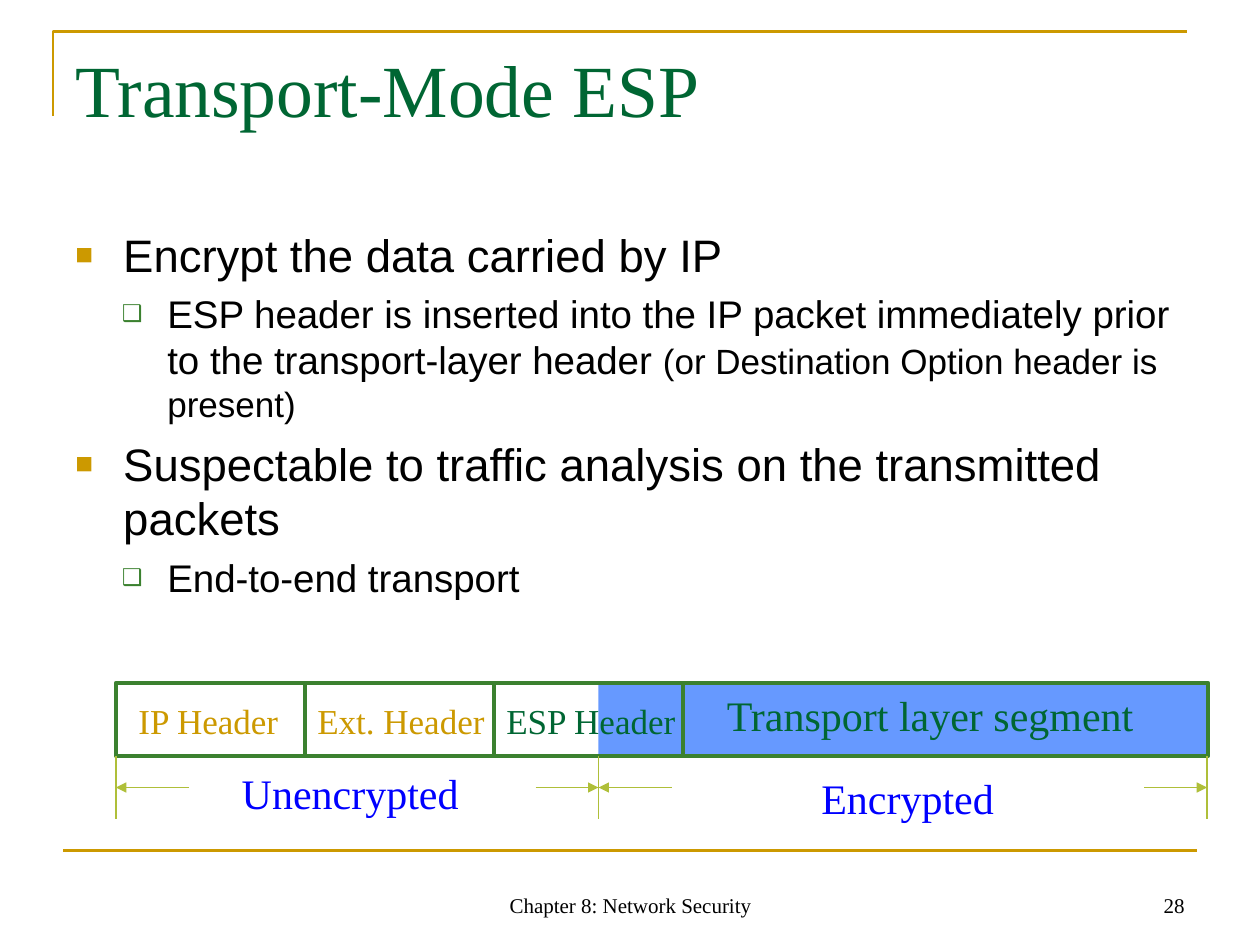
from lxml import etree
from pptx import Presentation
from pptx.dml.color import RGBColor
from pptx.enum.shapes import MSO_CONNECTOR, MSO_SHAPE
from pptx.enum.text import MSO_ANCHOR, PP_ALIGN
from pptx.oxml.ns import qn
from pptx.util import Inches, Pt

STRAIGHT, RECTANGLE = MSO_CONNECTOR.STRAIGHT, MSO_SHAPE.RECTANGLE
TOP, BOTTOM = MSO_ANCHOR.TOP, MSO_ANCHOR.BOTTOM
LEFT, CENTER, RIGHT = PP_ALIGN.LEFT, PP_ALIGN.CENTER, PP_ALIGN.RIGHT

GOLD = RGBColor(0xCC, 0x99, 0x00)
DARK_GREEN = RGBColor(0x00, 0x66, 0x33)
GREEN = RGBColor(0x3B, 0x81, 0x2F)
LIME = RGBColor(0xAF, 0xBF, 0x39)
SKY = RGBColor(0x66, 0x99, 0xFF)
BLUE = RGBColor(0x00, 0x00, 0xFF)
BLACK = RGBColor(0x00, 0x00, 0x00)

# Bullet levels: character, colour, size in percent, margin and hanging indent
BULLETS = [("■", GOLD, 65, 0.38, 0.38), ("❑", GREEN, 60, 0.73, 0.36)]


class SlideBuilder:
    serif = "Times New Roman"
    sans = "Arial"

    def __init__(self, slide):
        self.slide = slide

    def style_font(self, font, name, size, color):
        font.name, font.size = name, Pt(size)
        font.color.rgb = color

    def text(self, text, box, size, color, align=LEFT, anchor=TOP, wrap=True):
        shape = self.slide.shapes.add_textbox(*map(Inches, box))
        text_frame = shape.text_frame
        text_frame.text = text
        text_frame.word_wrap = wrap
        text_frame.vertical_anchor = anchor
        paragraph = text_frame.paragraphs[0]
        paragraph.alignment = align
        self.style_font(paragraph.runs[0].font, self.serif, size, color)

    def bullet_list(self, box, items):
        shape = self.slide.shapes.add_textbox(*map(Inches, box))
        text_frame = shape.text_frame
        text_frame.word_wrap = True
        for index, (level, space, runs) in enumerate(items):
            paragraph = text_frame.paragraphs[0] if index == 0 else text_frame.add_paragraph()
            self.add_bullet(paragraph, level)
            paragraph.level = level
            paragraph.space_before = Pt(space)
            for text, size in runs:
                run = paragraph.add_run()
                run.text = text
                self.style_font(run.font, self.sans, size, BLACK)

    def add_bullet(self, paragraph, level):
        character, color, percent, margin, hanging = BULLETS[level]
        properties = paragraph._p.get_or_add_pPr()
        properties.set("marL", str(Inches(margin)))
        properties.set("indent", str(-Inches(hanging)))
        bullet_color = etree.SubElement(properties, qn("a:buClr"))
        etree.SubElement(bullet_color, qn("a:srgbClr"), val=str(color))
        etree.SubElement(properties, qn("a:buSzPct"), val=str(percent * 1000))
        etree.SubElement(properties, qn("a:buFont"), typeface=self.sans)
        etree.SubElement(properties, qn("a:buChar"), char=character)

    def rectangle(self, box, fill=None, line=None):
        shape = self.slide.shapes.add_shape(RECTANGLE, *map(Inches, box))
        shape.shadow.inherit = False
        if fill is None:
            shape.fill.background()
        else:
            shape.fill.solid()
            shape.fill.fore_color.rgb = fill
        if line is None:
            shape.line.fill.background()
        else:
            shape.line.color.rgb, shape.line.width = line, Pt(2.25)

    def line(self, start, end, color=LIME, width=1, arrow=False):
        connector = self.slide.shapes.add_connector(STRAIGHT, *map(Inches, start + end))
        connector.line.color.rgb, connector.line.width = color, Pt(width)
        if arrow:
            etree.SubElement(connector.line._get_or_add_ln(), qn("a:tailEnd"), type="triangle")
        etree.SubElement(connector._element.spPr, qn("a:effectLst"))

    def outline(self, points, color, width):
        corners = [(Inches(x), Inches(y)) for x, y in points]
        builder = self.slide.shapes.build_freeform(*corners[0])
        builder.add_line_segments(corners[1:], close=False)
        shape = builder.convert_to_shape()
        shape.shadow.inherit = False
        shape.fill.background()
        shape.line.color.rgb, shape.line.width = color, Pt(width)


def main():
    presentation = Presentation()
    presentation.slide_width, presentation.slide_height = Inches(10), Inches(7.5)
    builder = SlideBuilder(presentation.slides.add_slide(presentation.slide_layouts[6]))

    # Frame lines
    builder.outline([(0.42, 0.92), (0.42, 0.25), (9.42, 0.25)], GOLD, 1.5)
    builder.line((0.5, 6.75), (9.5, 6.75), GOLD, 1.5)

    # Title and bullets
    builder.text("Transport-Mode ESP", (0.5, 0.3, 9, 1.25), 42, DARK_GREEN)
    builder.bullet_list((0.5, 1.75, 9, 4.95), [
        (0, 0, [("Encrypt the data carried by IP", 26)]),
        (1, 5, [("ESP header is inserted into the IP packet immediately prior "
                 "to the transport-layer header ", 22),
                ("(or Destination Option header is present)", 20)]),
        (0, 6.5, [("Suspectable to traffic analysis on the transmitted packets", 26)]),
        (1, 5.5, [("End-to-end transport", 22)]),
    ])

    # Packet fields, with the encrypted part shaded
    packet_left, encrypted_left, packet_right = 0.92, 4.75, 9.58
    packet_top, packet_height = 5.42, 0.58
    builder.rectangle((encrypted_left, packet_top, packet_right - encrypted_left, packet_height),
                      fill=SKY)
    left = packet_left
    for width in (1.5, 1.5, 1.5, 4.17):
        builder.rectangle((left, packet_top, width, packet_height), line=GREEN)
        left += width

    # Field names and range names
    for label, box, size, color in [
        ("IP Header", (1, 5.5, 1.32, 0.44), 20, GOLD),
        ("Ext. Header", (2.42, 5.5, 1.53, 0.44), 20, GOLD),
        ("ESP Header", (3.92, 5.5, 1.55, 0.44), 20, DARK_GREEN),
        ("Transport layer segment", (5.67, 5.42, 3.44, 0.5), 24, DARK_GREEN),
        ("Unencrypted", (1.82, 6.04, 1.92, 0.5), 24, BLUE),
        ("Encrypted", (6.42, 6.08, 1.57, 0.5), 24, BLUE),
    ]:
        builder.text(label, box, size, color, wrap=False)

    # Range limits and arrows
    for x in (packet_left, encrypted_left, packet_right):
        builder.line((x, 6), (x, 6.5))
    for start, end in [(4.25, encrypted_left), (9.08, packet_right),
                       (1.5, packet_left), (5.33, encrypted_left)]:
        builder.line((start, 6.25), (end, 6.25), arrow=True)

    # Footer
    builder.text("Chapter 8: Network Security", (3.42, 6.83, 3.17, 0.5), 12, BLACK, CENTER, BOTTOM)
    builder.text("28", (7.17, 6.83, 2.33, 0.5), 12, BLACK, RIGHT, BOTTOM)

    presentation.save("out.pptx")


if __name__ == "__main__":
    main()
